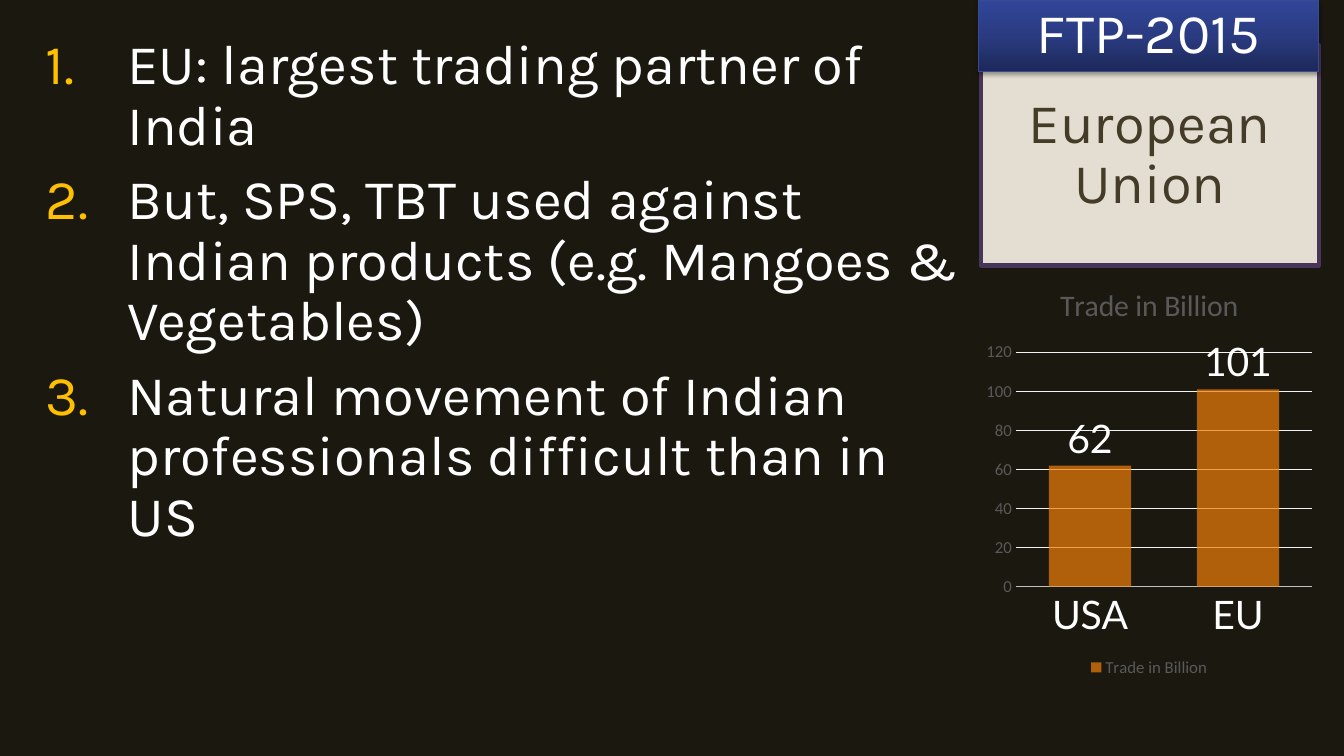
"""Build the European Union trade slide with its numbered points and chart."""
from dataclasses import dataclass

from lxml import etree
from pptx import Presentation
from pptx.chart.data import CategoryChartData
from pptx.dml.color import RGBColor
from pptx.enum.chart import XL_CHART_TYPE as ChartType
from pptx.enum.chart import XL_LABEL_POSITION as LabelPosition
from pptx.enum.chart import XL_LEGEND_POSITION as LegendPosition
from pptx.enum.chart import XL_TICK_MARK as TickMark
from pptx.enum.shapes import MSO_SHAPE as ShapeType
from pptx.enum.text import MSO_ANCHOR as Anchor
from pptx.enum.text import PP_ALIGN as Align
from pptx.oxml import parse_xml
from pptx.oxml.ns import nsdecls, qn
from pptx.util import Emu, Pt


@dataclass(frozen=True)
class Theme:
    background: str = "1B1810"
    white: str = "FFFFFF"
    number: str = "FFC000"
    panel: str = "E3DED1"
    panel_line: str = "48365A"
    panel_text: str = "443C29"
    header_stops: tuple = ((0, "1D295A"), (50, "2A3B81"), (100, "314699"))
    header_line: str = "384A92"
    shadow: str = "000000"
    bar: str = "F07F09"
    muted: str = "595959"
    axis: str = "BFBFBF"
    grid: str = "F2F2F2"
    text_font: str = "Karla"
    chart_font: str = "Calibri"
    label_font: str = "Lato"
    text_size: float = 40
    chart_title_size: float = 21.3
    label_size: float = 28
    small_size: float = 12


THEME = Theme()
POINTS = (
    "EU: largest trading partner of India",
    "But, SPS, TBT used against Indian products (e.g. Mangoes & Vegetables)",
    "Natural movement of Indian professionals difficult than in US",
)
TRADE = {"USA": 62, "EU": 101}
TRADE_TITLE = "Trade in Billion"


def px(length):
    return Emu(length * 9525)


def box(*lengths):
    return [px(length) for length in lengths]


def apply_format(target, values):
    for name, value in values.items():
        setattr(target, name, value)


def style_font(font, name, size, color):
    apply_format(font, {"name": name, "size": Pt(size), "bold": False})
    font.color.rgb = RGBColor.from_string(color)


def style_line(line, color, width):
    line.color.rgb = RGBColor.from_string(color)
    line.width = Pt(width)


def fill_solid(fill, color):
    fill.solid()
    fill.fore_color.rgb = RGBColor.from_string(color)


def write_paragraph(paragraph, text, color, **formats):
    apply_format(paragraph, {"line_spacing": 0.9, **formats})
    run = paragraph.add_run()
    run.text = text
    style_font(run.font, THEME.text_font, THEME.text_size, color)


def number_paragraph(paragraph, indent):
    properties = paragraph._p.get_or_add_pPr()
    properties.set("marL", str(indent))
    properties.set("indent", str(-indent))
    color = etree.SubElement(properties, qn("a:buClr"))
    etree.SubElement(color, qn("a:srgbClr"), val=THEME.number)
    etree.SubElement(properties, qn("a:buFont"), typeface="+mj-lt")
    etree.SubElement(properties, qn("a:buAutoNum"), type="arabicPeriod")


def add_numbered_list(slide, points, position):
    frame = slide.shapes.add_textbox(*position).text_frame
    frame.word_wrap = True
    for index, point in enumerate(points):
        paragraph = frame.add_paragraph() if index else frame.paragraphs[0]
        write_paragraph(paragraph, point, THEME.white, space_before=Pt(10 if index else 0))
        number_paragraph(paragraph, px(78))


def add_panel(slide, text, position, color, line, line_width, anchor):
    shape = slide.shapes.add_shape(ShapeType.RECTANGLE, *position)
    shape.shadow.inherit = False
    style_line(shape.line, line, line_width)
    apply_format(shape.text_frame, {"word_wrap": True, "vertical_anchor": anchor})
    write_paragraph(shape.text_frame.paragraphs[0], text, color, alignment=Align.CENTER)
    return shape


def fill_gradient(shape, stops):
    shape.fill.gradient()
    shape.fill.gradient_angle = 90
    stop_list = shape.element.spPr.find(".//" + qn("a:gsLst"))
    stop_list[:] = [
        parse_xml(
            f'<a:gs {nsdecls("a")} pos="{place * 1000}"><a:srgbClr val="{color}"/></a:gs>'
        )
        for place, color in stops
    ]


def add_shadow(shape, color):
    effects = shape.element.spPr.find(qn("a:effectLst"))
    effects.append(parse_xml(
        f'<a:outerShdw {nsdecls("a")} blurRad="{Pt(3.1)}" dist="{Pt(1.8)}" dir="5400000"'
        f' rotWithShape="0"><a:srgbClr val="{color}"><a:alpha val="35000"/>'
        '</a:srgbClr></a:outerShdw>'
    ))


def style_axes(chart):
    category, value = chart.category_axis, chart.value_axis
    for axis in (category, value):
        apply_format(axis, {
            "major_tick_mark": TickMark.NONE,
            "minor_tick_mark": TickMark.NONE,
        })
    style_font(category.tick_labels.font, THEME.label_font, THEME.label_size, THEME.white)
    style_line(category.format.line, THEME.axis, 1.25)
    style_font(value.tick_labels.font, THEME.chart_font, THEME.small_size, THEME.muted)
    value.format.line.fill.background()
    style_line(value.major_gridlines.format.line, THEME.grid, 0.75)
    apply_format(value, {"minimum_scale": 0, "maximum_scale": 120, "major_unit": 20})


def style_bars(plot):
    apply_format(plot, {"gap_width": 80, "overlap": 25, "vary_by_categories": False})
    series = plot.series[0]
    fill_solid(series.format.fill, THEME.bar)
    color = series.format.fill._xPr.find(".//" + qn("a:srgbClr"))
    etree.SubElement(color, qn("a:alpha"), val="70000")
    labels = series.data_labels
    apply_format(labels, {"show_value": True, "position": LabelPosition.OUTSIDE_END})
    style_font(labels.font, THEME.label_font, THEME.label_size, THEME.white)


def add_trade_chart(slide, position):
    data = CategoryChartData()
    data.categories = list(TRADE)
    data.add_series(TRADE_TITLE, list(TRADE.values()))
    chart = slide.shapes.add_chart(ChartType.COLUMN_CLUSTERED, *position, data).chart
    style_font(chart.font, THEME.chart_font, THEME.small_size, THEME.muted)
    apply_format(chart, {"has_title": True, "has_legend": True})
    run = chart.chart_title.text_frame.paragraphs[0].add_run()
    run.text = TRADE_TITLE
    style_font(run.font, THEME.chart_font, THEME.chart_title_size, THEME.muted)
    chart.chart_title.include_in_layout = False
    apply_format(chart.legend, {
        "position": LegendPosition.BOTTOM,
        "include_in_layout": False,
    })
    style_font(chart.legend.font, THEME.chart_font, THEME.small_size, THEME.muted)
    style_axes(chart)
    style_bars(chart.plots[0])


def main():
    presentation = Presentation()
    apply_format(presentation, {"slide_width": px(1280), "slide_height": px(720)})
    slide = presentation.slides.add_slide(presentation.slide_layouts[6])
    fill_solid(slide.background.fill, THEME.background)
    add_numbered_list(slide, POINTS, box(34, 30, 892, 619))
    panel = add_panel(slide, "European Union", box(934, 43, 322, 210),
                      THEME.panel_text, THEME.panel_line, 3, Anchor.MIDDLE)
    fill_solid(panel.fill, THEME.panel)
    header = add_panel(slide, "FTP-2015", box(932, 0, 324, 68),
                       THEME.white, THEME.header_line, 0.75, Anchor.TOP)
    fill_gradient(header, THEME.header_stops)
    add_shadow(header, THEME.shadow)
    add_trade_chart(slide, box(933, 253, 323, 396))
    presentation.save("out.pptx")


if __name__ == "__main__":
    main()
